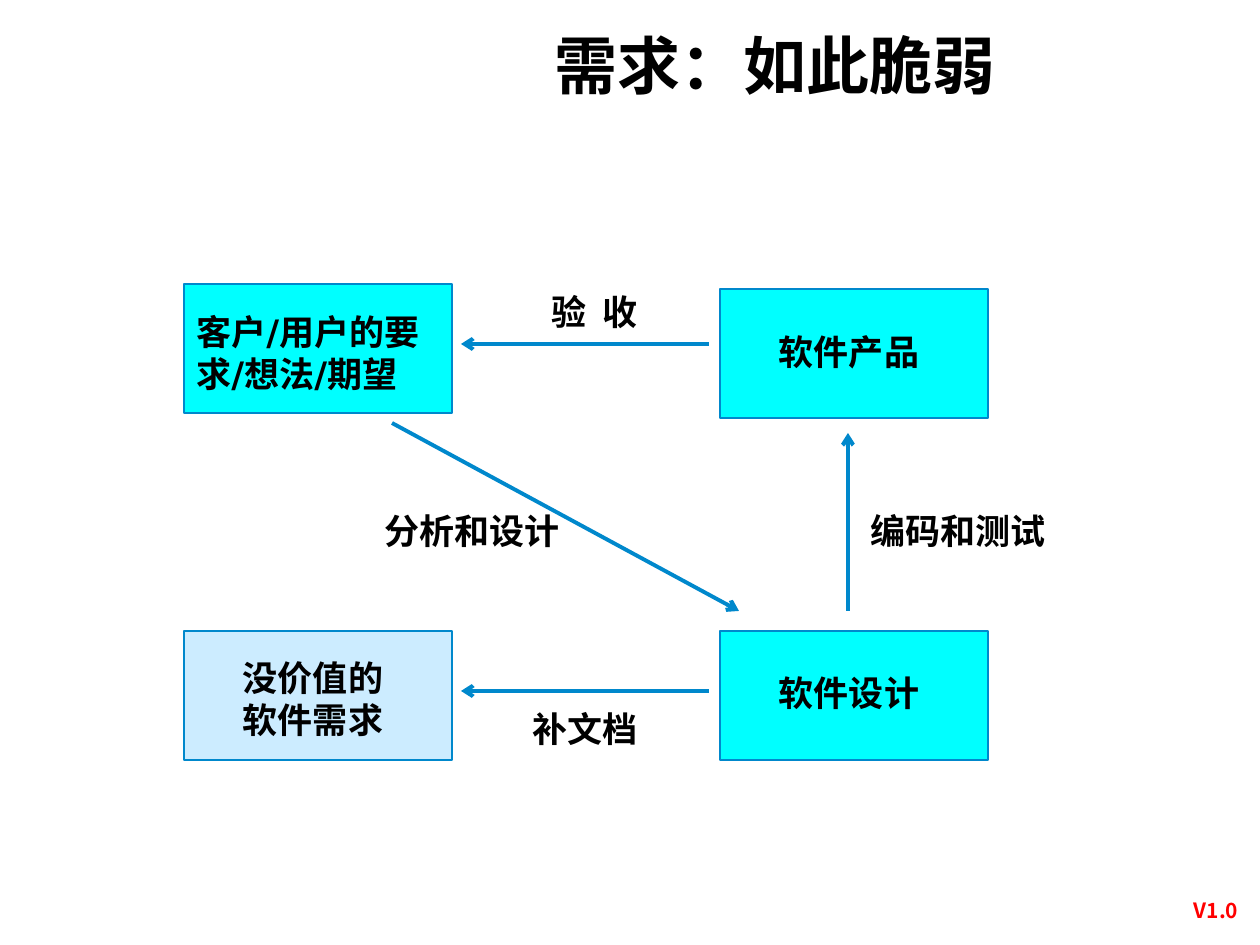
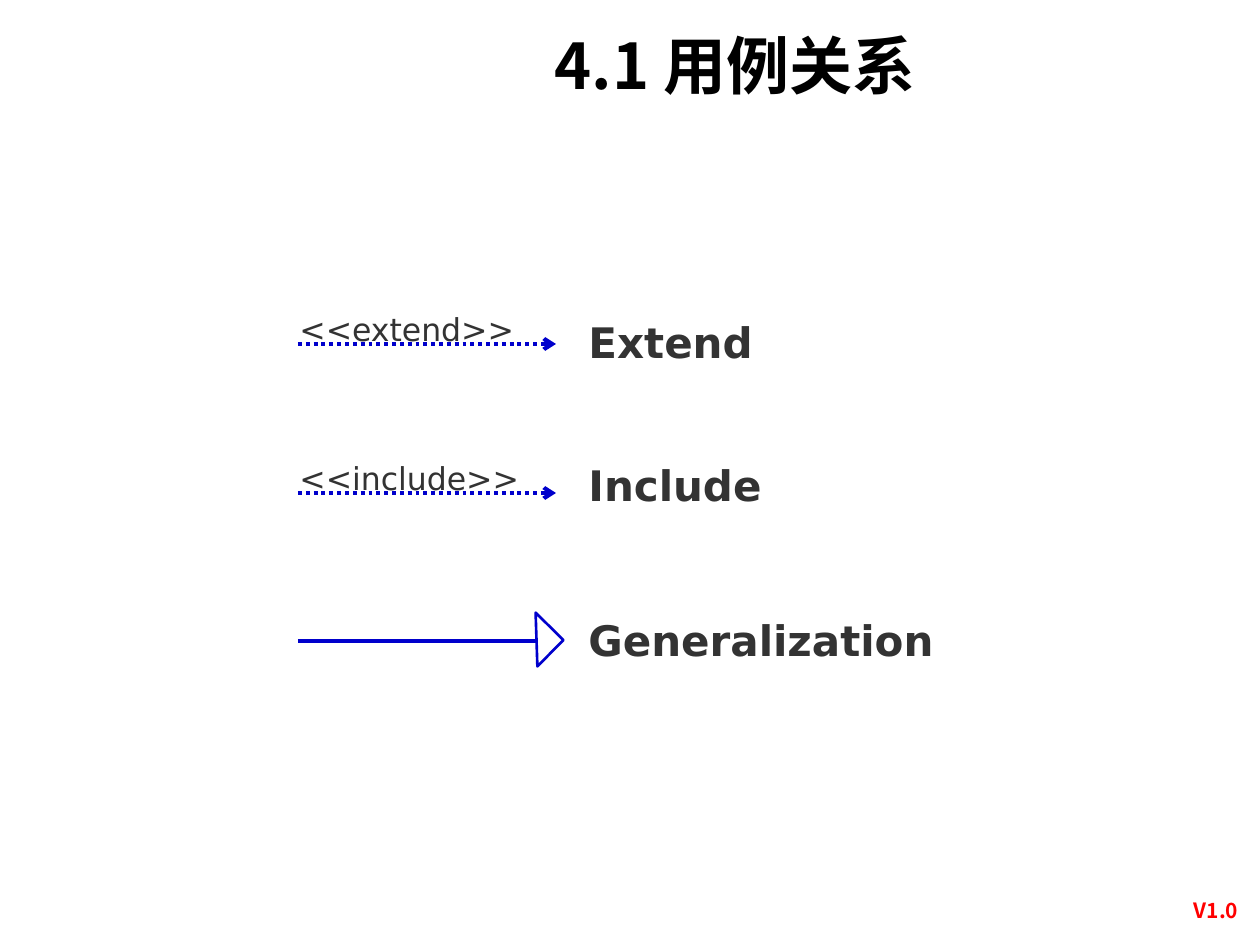
from lxml.etree import SubElement
from pptx import Presentation
from pptx.dml.color import RGBColor
from pptx.enum.dml import MSO_LINE_DASH_STYLE as Dash
from pptx.enum.shapes import MSO_CONNECTOR_TYPE as Connector, MSO_SHAPE as Shape
from pptx.enum.text import MSO_ANCHOR as Anchor, PP_ALIGN as Align
from pptx.oxml.ns import qn
from pptx.util import Pt

EMU_PER_PX = 914400 / 126
BLACK = RGBColor(0x00, 0x00, 0x00)
CHARCOAL = RGBColor(0x33, 0x33, 0x33)
RED = RGBColor(0xFF, 0x00, 0x00)
CYAN = RGBColor(0x00, 0xFF, 0xFF)
PALE_BLUE = RGBColor(0xCC, 0xEC, 0xFF)
FLOW_BLUE = RGBColor(0x00, 0x88, 0xCC)
UML_BLUE = RGBColor(0x00, 0x00, 0xCC)
LATIN_TITLE = "Arial"
CJK = "Noto Sans CJK SC"
BODY = "DejaVu Sans"


def px(*lengths):
    return [round(length * EMU_PER_PX) for length in lengths]


class Deck:
    def __init__(self):
        self.deck = Presentation()
        self.deck.slide_width, self.deck.slide_height = px(1260, 945)
        self.page = None

    def new_page(self, *title_spans):
        self.page = self.deck.slides.add_slide(self.deck.slide_layouts[6])
        self.text("V1.0", 1166, 891, 100, 38, size=12, color=RED, name=CJK)
        box = self.text("", 542, 38, 646, 70, size=36, name=LATIN_TITLE, align=Align.LEFT)
        box.text_frame.vertical_anchor = Anchor.BOTTOM
        for words, name in title_spans:
            span = box.text_frame.paragraphs[0].add_run()
            span.text = words
            span.font.name = name

    def text(self, words, left, top, width, height, size=20, color=BLACK,
             name=BODY, bold=True, align=Align.CENTER):
        box = self.page.shapes.add_textbox(*px(left, top, width, height))
        box.text_frame.word_wrap = True
        para = box.text_frame.paragraphs[0]
        para.text = words
        para.alignment = align
        font = para.font
        font.size, font.bold, font.name = Pt(size), bold, name
        font.color.rgb = color
        defaults = para._p.pPr.find(qn("a:defRPr"))
        SubElement(defaults, qn("a:ea")).set("typeface", CJK)
        return box

    def shape(self, kind, left, top, width, height, line, fill=None, rotation=0):
        shape = self.page.shapes.add_shape(kind, *px(left, top, width, height))
        shape.shadow.inherit = False
        shape.rotation = rotation
        shape.line.color.rgb = line
        shape.line.width = Pt(1.5)
        if fill is None:
            shape.fill.background()
        else:
            shape.fill.solid()
            shape.fill.fore_color.rgb = fill

    def node(self, words, left, top, text_top, text_height, fill=CYAN,
             text_width=258, align=Align.CENTER):
        self.shape(Shape.RECTANGLE, left, top, 268, 129, FLOW_BLUE, fill)
        self.text(words, left, text_top, text_width, text_height, align=align)

    def line(self, start, end, color=FLOW_BLUE, arrow=True, dash=None):
        line = self.page.shapes.add_connector(Connector.STRAIGHT, *px(*start, *end))
        line.line.color.rgb = color
        line.line.width = Pt(2.25)
        if dash is not None:
            line.line.dash_style = dash
        if arrow:
            SubElement(line.line._get_or_add_ln(), qn("a:tailEnd")).set("type", "arrow")
        SubElement(line._element.spPr, qn("a:effectLst"))


def fragile_requirements(deck):
    deck.new_page(("需求：如此脆弱", LATIN_TITLE))
    left, right = 184, 720
    deck.node("客户/用户的要求/想法/期望", left, 284, 304, 97,
              text_width=277, align=Align.LEFT)
    deck.node("软件设计", right, 631, 665, 55)
    deck.node("软件产品", right, 289, 324, 55)
    deck.node("没价值的\n软件需求", left, 631, 650, 97, fill=PALE_BLUE)

    deck.line((392, 423), (739, 611))
    deck.line((848, 611), (848, 433))
    for y in (344, 691):
        deck.line((709, y), (461, y))

    for words, x, y, align in (
        ("分析和设计", 372, 503, Align.LEFT),
        ("编码和测试", 858, 503, Align.LEFT),
        ("验  收", 491, 284, Align.CENTER),
        ("补文档", 481, 701, Align.CENTER),
    ):
        deck.text(words, x, y, 208, 55, align=align)


def use_case_relations(deck):
    deck.new_page(("4.1 ", CJK), ("用例关系", LATIN_TITLE))
    for stereotype, y in (("<<extend>>", 344), ("<<include>>", 493)):
        deck.line((298, y), (556, y), UML_BLUE, dash=Dash.ROUND_DOT)
        deck.text(stereotype, 287, y - 40, 248, 50, size=18, color=CHARCOAL,
                  bold=False, align=Align.LEFT)
    deck.line((298, 641), (537, 641), UML_BLUE, arrow=False)
    deck.shape(Shape.RIGHT_TRIANGLE, 517, 621, 39, 37, UML_BLUE, rotation=224.6)

    for relation, y in (("Extend", 310), ("Include", 453), ("Generalization", 608)):
        deck.text(relation, 576, y, 372, 63, size=24, color=CHARCOAL, align=Align.LEFT)


def main():
    deck = Deck()
    fragile_requirements(deck)
    use_case_relations(deck)
    deck.deck.save("out.pptx")


if __name__ == "__main__":
    main()
